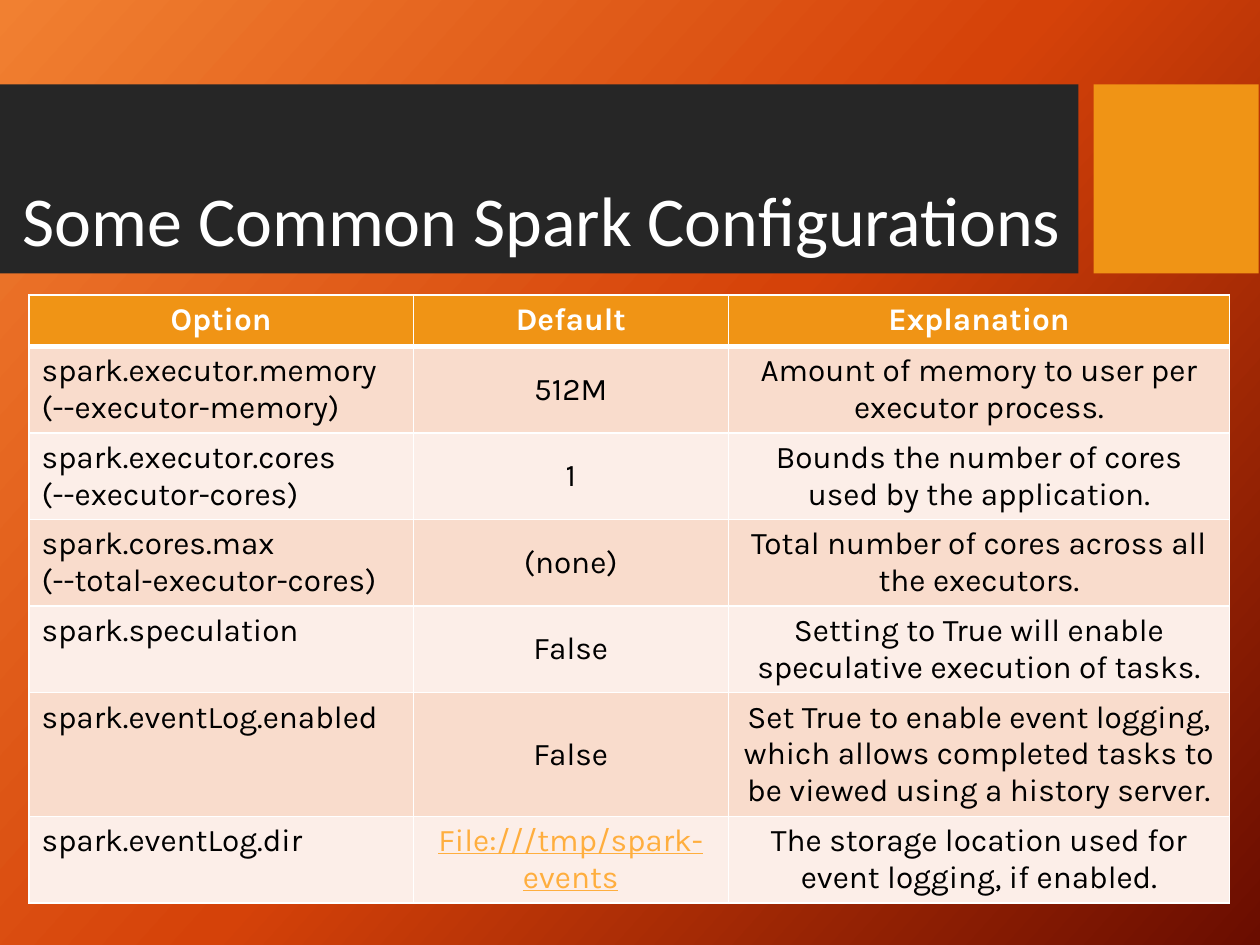
from dataclasses import dataclass

from lxml import etree
from pptx import Presentation
from pptx.dml.color import RGBColor
from pptx.enum.shapes import MSO_SHAPE
from pptx.enum.text import MSO_ANCHOR, MSO_AUTO_SIZE, PP_ALIGN
from pptx.oxml.ns import qn
from pptx.util import Inches, Pt

RECTANGLE = MSO_SHAPE.RECTANGLE
TOP, MIDDLE = MSO_ANCHOR.TOP, MSO_ANCHOR.MIDDLE
LEFT, CENTER, JUSTIFY = PP_ALIGN.LEFT, PP_ALIGN.CENTER, PP_ALIGN.JUSTIFY

WHITE, BLACK, CHARCOAL = "FFFFFF", "000000", "262626"
ORANGE, LINK_ORANGE = "F09415", "FFAE3E"
BAND_FILLS = ("F9DCCC", "FCEEE8")
BACKGROUND_STOPS = ((0, "F18031"), (50, "D54209"), (100, "6A0D00"))
TITLE_FONT, TABLE_FONT = "Calibri", "Karla"
COLUMN_WIDTHS = (3.05, 2.5, 3.98)
ROW_HEIGHT = 0.41
THIN, THICK = 1, 3


@dataclass
class Bar:
    left: float
    width: float
    color: str


@dataclass
class Setting:
    option: tuple[str, ...]
    default: str
    explanation: str
    is_link: bool = False


BARS = (Bar(0, 8.56, CHARCOAL), Bar(8.68, 1.31, ORANGE))
HEADINGS = ("Option", "Default", "Explanation")
SETTINGS = (
    Setting(("spark.executor.memory", "(--executor-memory)"), "512M",
            "Amount of memory to user per executor process."),
    Setting(("spark.executor.cores", "(--executor-cores)"), "1",
            "Bounds the number of cores used by the application."),
    Setting(("spark.cores.max", "(--total-executor-cores)"), "(none)",
            "Total number of cores across all the executors."),
    Setting(("spark.speculation",), "False",
            "Setting to True will enable speculative execution of tasks."),
    Setting(("spark.eventLog.enabled",), "False",
            "Set True to enable event logging, which allows completed tasks "
            "to be viewed using a history server."),
    Setting(("spark.eventLog.dir",), "File:///tmp/spark-events",
            "The storage location used for event logging, if enabled.", True),
)


def rgb(color: str) -> RGBColor:
    return RGBColor.from_string(color)


def paint_background(slide) -> None:
    fill = slide.background.fill
    fill.gradient()
    fill.gradient_angle = 360 - 42
    stops = slide.element.find(".//" + qn("a:gsLst"))
    for stop in list(stops):
        stops.remove(stop)
    for percent, color in BACKGROUND_STOPS:
        stop = etree.SubElement(stops, qn("a:gs"), pos=str(percent * 1000))
        etree.SubElement(stop, qn("a:srgbClr"), val=color)


def add_bar(slide, bar: Bar) -> None:
    shape = slide.shapes.add_shape(RECTANGLE, Inches(bar.left), Inches(0.67),
                                   Inches(bar.width), Inches(1.5))
    shape.shadow.inherit = False
    shape.fill.solid()
    shape.fill.fore_color.rgb = rgb(bar.color)
    shape.line.fill.background()


def add_run(paragraph, text: str, font: str, size: float, color: str,
            bold: bool = False, underline: bool = False) -> None:
    run = paragraph.add_run()
    run.text = text
    run.font.name = font
    run.font.size = Pt(size)
    run.font.color.rgb = rgb(color)
    run.font.bold = bold
    run.font.underline = underline


def place_title(slide, text: str) -> None:
    title = slide.shapes.title
    title.left, title.top = Inches(0.08), Inches(1.45)
    title.width, title.height = Inches(8.59), Inches(0.66)
    frame = title.text_frame
    frame.word_wrap = True
    frame.auto_size = MSO_AUTO_SIZE.NONE
    frame.vertical_anchor = MIDDLE
    paragraph = frame.paragraphs[0]
    paragraph.alignment = LEFT
    paragraph.line_spacing = 0.9
    add_run(paragraph, text, TITLE_FONT, 40, WHITE)
    # Bring the title in front of the bars.
    slide.shapes.element.append(title.element)


def style_cell(cell, fill: str, top: float, bottom: float) -> None:
    """Set the white borders (widths in points), then the fill."""
    properties = cell._tc.get_or_add_tcPr()
    widths = {"a:lnL": THIN, "a:lnR": THIN, "a:lnT": top, "a:lnB": bottom}
    for tag, width in widths.items():
        line = etree.SubElement(properties, qn(tag), w=str(Pt(width)))
        solid = etree.SubElement(line, qn("a:solidFill"))
        etree.SubElement(solid, qn("a:srgbClr"), val=WHITE)
    cell.fill.solid()
    cell.fill.fore_color.rgb = rgb(fill)


def write_cell(cell, lines: tuple[str, ...], alignment, anchor=TOP,
               color: str = BLACK, bold: bool = False,
               underline: bool = False) -> None:
    frame = cell.text_frame
    cell.vertical_anchor = anchor
    for index, line in enumerate(lines):
        paragraph = frame.add_paragraph() if index else frame.paragraphs[0]
        paragraph.alignment = alignment
        add_run(paragraph, line, TABLE_FONT, 18, color, bold, underline)


def add_settings_table(slide) -> None:
    row_count = len(SETTINGS) + 1
    table = slide.shapes.add_table(
        row_count, len(HEADINGS), Inches(0.23), Inches(2.34),
        Inches(sum(COLUMN_WIDTHS)), Inches(ROW_HEIGHT * row_count)).table
    for column, width in zip(table.columns, COLUMN_WIDTHS):
        column.width = Inches(width)
    for row in table.rows:
        row.height = Inches(ROW_HEIGHT)

    for column, heading in enumerate(HEADINGS):
        cell = table.cell(0, column)
        style_cell(cell, ORANGE, THIN, THICK)
        write_cell(cell, (heading,), CENTER, color=WHITE, bold=True)

    for row, setting in enumerate(SETTINGS, start=1):
        option, default, explanation = table.rows[row].cells
        for cell in (option, default, explanation):
            style_cell(cell, BAND_FILLS[(row - 1) % 2],
                       THICK if row == 1 else THIN, THIN)
        write_cell(option, setting.option, JUSTIFY)
        write_cell(default, (setting.default,), CENTER, MIDDLE,
                   LINK_ORANGE if setting.is_link else BLACK,
                   underline=setting.is_link)
        write_cell(explanation, (setting.explanation,), CENTER)


def main() -> None:
    presentation = Presentation()
    presentation.slide_width = Inches(10)
    presentation.slide_height = Inches(7.5)
    title_only = presentation.slide_layouts.get_by_name("Title Only")
    slide = presentation.slides.add_slide(title_only)
    paint_background(slide)
    for bar in BARS:
        add_bar(slide, bar)
    place_title(slide, "Some Common Spark Configurations")
    add_settings_table(slide)
    presentation.save("out.pptx")


if __name__ == "__main__":
    main()
